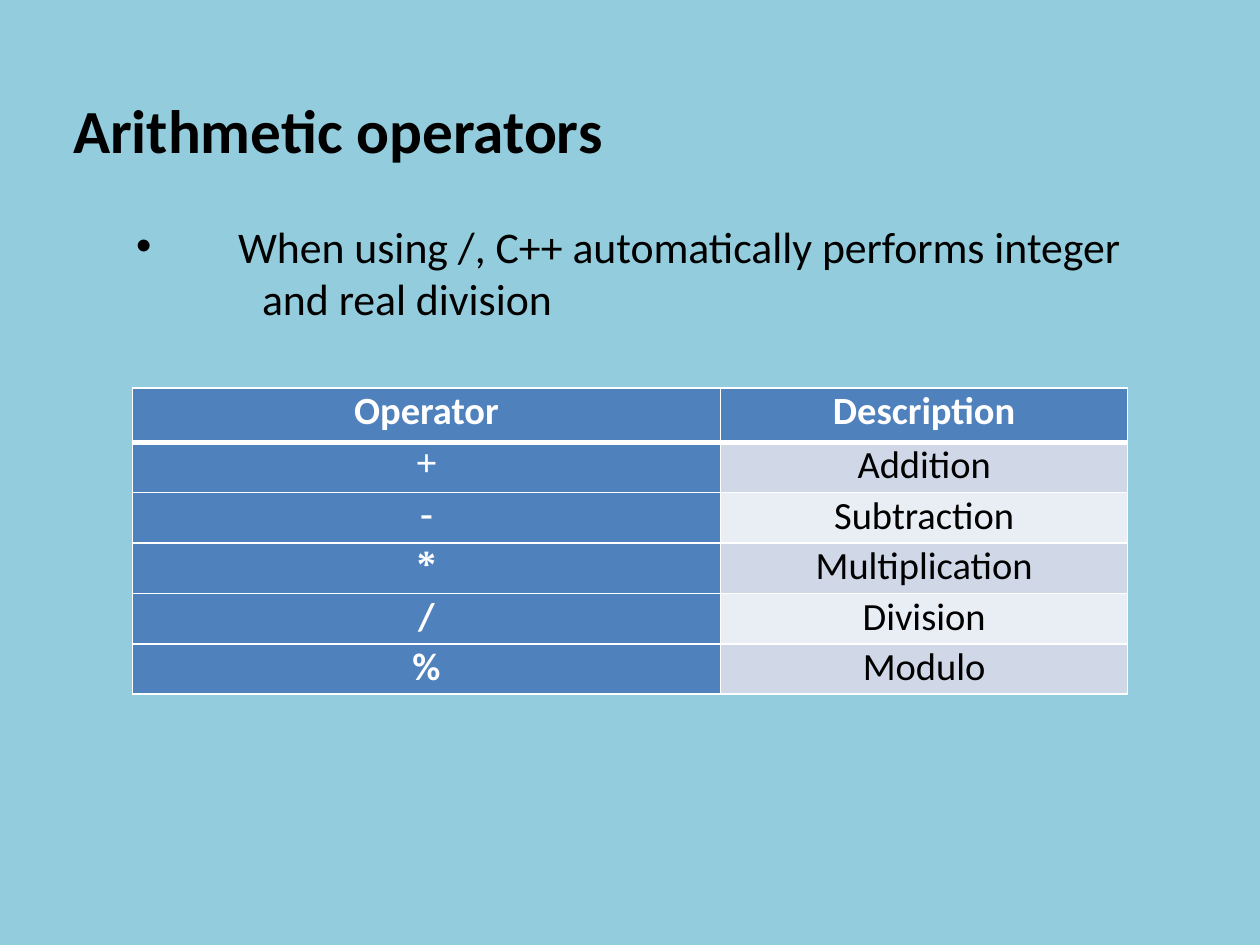
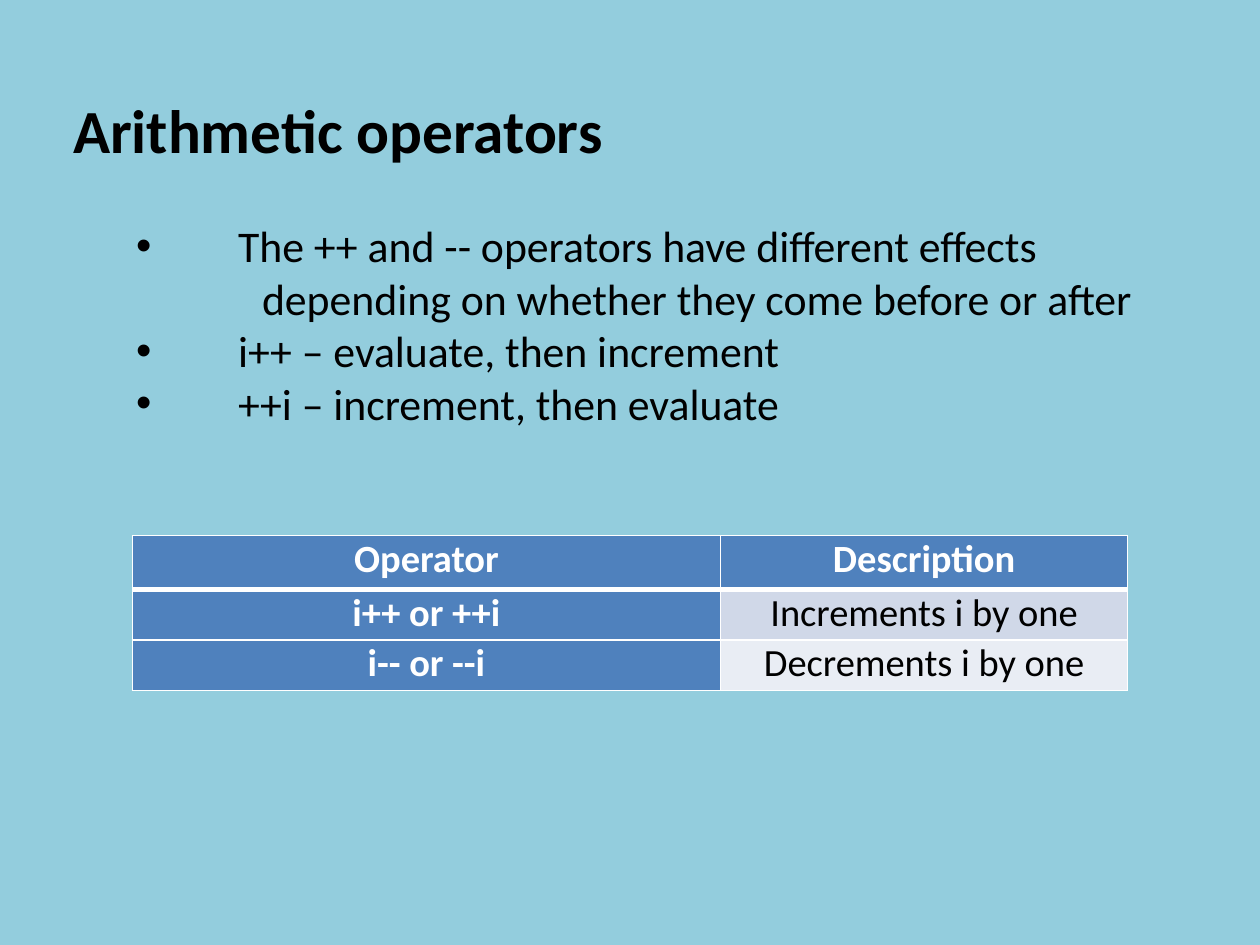
from typing import Any, NamedTuple

from lxml import etree
from pptx import Presentation
from pptx import util as u
from pptx.dml.color import RGBColor
from pptx.enum import text
from pptx.oxml.ns import qn

BACKGROUND, BLUE, WHITE, BLACK = "93CDDD", "4F81BD", "FFFFFF", "000000"
BANDS = ("D0D8E8", "E9EDF4")
BODY_FONT, SYMBOL_FONT = "Calibri", "Times New Roman"
TITLE = "Arithmetic operators"
HEADER = ("Operator", "Description")
COLUMN_WIDTHS = (4.67, 3.23)
HEADER_HEIGHT, ROW_HEIGHT = 0.43, 0.4
TITLE_ONLY = 5
FRAME_FORMAT = {
    "word_wrap": True,
    "auto_size": text.MSO_AUTO_SIZE.NONE,
    "vertical_anchor": text.MSO_ANCHOR.TOP,
    "margin_left": u.Inches(0.07),
    "margin_right": u.Inches(0.07),
    "margin_top": u.Inches(0.04),
    "margin_bottom": u.Inches(0.04),
}
CELL_FORMAT = {
    "vertical_anchor": text.MSO_ANCHOR.TOP,
    "margin_left": u.Inches(0.16),
    "margin_right": u.Inches(0.16),
    "margin_top": 0,
    "margin_bottom": 0,
}


class Line(NamedTuple):
    words: str
    bullet: bool = True


class Operator(NamedTuple):
    symbol: str
    description: str
    font: str = BODY_FONT


class OperatorSlide(NamedTuple):
    lines: list[Line]
    table_top: float
    operators: list[Operator]


SLIDES = [
    OperatorSlide(
        [
            Line("When using /, C++ automatically performs integer"),
            Line("and real division", bullet=False),
        ],
        3.08,
        [
            Operator("+", "Addition", SYMBOL_FONT),
            Operator("-", "Subtraction", SYMBOL_FONT),
            Operator("*", "Multiplication", SYMBOL_FONT),
            Operator("/", "Division"),
            Operator("%", "Modulo"),
        ],
    ),
    OperatorSlide(
        [
            Line("The ++ and -- operators have different effects"),
            Line("depending on whether they come before or after", bullet=False),
            Line("i++ – evaluate, then increment"),
            Line("++i – increment, then evaluate"),
        ],
        4.25,
        [
            Operator("i++ or ++i", "Increments i by one"),
            Operator("i-- or --i", "Decrements i by one"),
        ],
    ),
]


def paint(color_format: Any, color: str) -> None:
    color_format.rgb = RGBColor.from_string(color)


def fill_solid(fill: Any, color: str) -> None:
    fill.solid()
    paint(fill.fore_color, color)


def apply(target: Any, values: dict[str, Any]) -> None:
    for name, value in values.items():
        setattr(target, name, value)


def write(paragraph: Any, words: str, size: int, bold: bool = False,
          color: str = BLACK, font: str = BODY_FONT) -> None:
    run = paragraph.add_run()
    run.text = words
    apply(run.font, {"size": u.Pt(size), "bold": bold, "name": font})
    paint(run.font.color, color)


def indent(paragraph: Any, line: Line) -> None:
    """Hang a bulleted line, or set a continuation line further in."""
    left, first = (1.81, -0.81) if line.bullet else (2, 0)
    properties = paragraph._p.get_or_add_pPr()
    properties.set("marL", str(u.Inches(left)))
    properties.set("indent", str(u.Inches(first)))
    if line.bullet:
        etree.SubElement(properties, qn("a:buFont"), typeface="Arial")
        etree.SubElement(properties, qn("a:buChar"), char="•")


def add_border(cell: Any, side: str, points: int) -> None:
    border = etree.SubElement(
        cell._tc.get_or_add_tcPr(), qn(f"a:ln{side}"), w=str(u.Pt(points)))
    fill = etree.SubElement(border, qn("a:solidFill"))
    etree.SubElement(fill, qn("a:srgbClr"), val=WHITE)


def draw_title(slide: Any) -> None:
    title = slide.shapes.title
    apply(title, {"left": u.Inches(0.51), "top": u.Inches(0.69),
                  "width": u.Inches(9.4), "height": u.Inches(0.67)})
    apply(title.text_frame, FRAME_FORMAT)
    paragraph = title.text_frame.paragraphs[0]
    paragraph.alignment = text.PP_ALIGN.LEFT
    write(paragraph, TITLE, 35, bold=True)


def draw_lines(slide: Any, lines: list[Line]) -> None:
    box = slide.shapes.add_textbox(
        u.Inches(0.01), u.Inches(1.7), u.Inches(9.98),
        u.Inches(0.08 + 0.42 * len(lines)))
    frame = box.text_frame
    apply(frame, FRAME_FORMAT)
    for index, line in enumerate(lines):
        paragraph = frame.add_paragraph() if index else frame.paragraphs[0]
        indent(paragraph, line)
        write(paragraph, line.words, 25)


def draw_cell(cell: Any, words: str, row: int, column: int, font: str) -> None:
    is_heading = row == 0 or column == 0
    apply(cell, CELL_FORMAT)
    borders = {"L": 1, "R": 1, "T": 3 if row == 1 else 1, "B": 3 if row == 0 else 1}
    for side, points in borders.items():
        add_border(cell, side, points)
    fill_solid(cell.fill, BLUE if is_heading else BANDS[(row - 1) % 2])
    paragraph = cell.text_frame.paragraphs[0]
    paragraph.alignment = text.PP_ALIGN.CENTER
    write(paragraph, words, 22, is_heading, WHITE if is_heading else BLACK, font)


def draw_table(slide: Any, top: float, operators: list[Operator]) -> None:
    rows = [Operator(*HEADER), *operators]
    height = HEADER_HEIGHT + ROW_HEIGHT * len(operators)
    table = slide.shapes.add_table(
        len(rows), len(HEADER), u.Inches(1.05), u.Inches(top),
        u.Inches(sum(COLUMN_WIDTHS)), u.Inches(height)).table
    table.horz_banding = False
    for column, width in zip(table.columns, COLUMN_WIDTHS):
        column.width = u.Inches(width)
    for row, operator in enumerate(rows):
        table.rows[row].height = u.Inches(ROW_HEIGHT if row else HEADER_HEIGHT)
        draw_cell(table.cell(row, 0), operator.symbol, row, 0, operator.font)
        draw_cell(table.cell(row, 1), operator.description, row, 1, BODY_FONT)


def main() -> None:
    presentation = Presentation()
    presentation.slide_width = u.Inches(10)
    presentation.slide_height = u.Inches(7.5)
    fill_solid(presentation.slide_master.background.fill, BACKGROUND)
    for content in SLIDES:
        slide = presentation.slides.add_slide(presentation.slide_layouts[TITLE_ONLY])
        draw_title(slide)
        draw_lines(slide, content.lines)
        draw_table(slide, content.table_top, content.operators)
    presentation.save("out.pptx")


if __name__ == "__main__":
    main()
